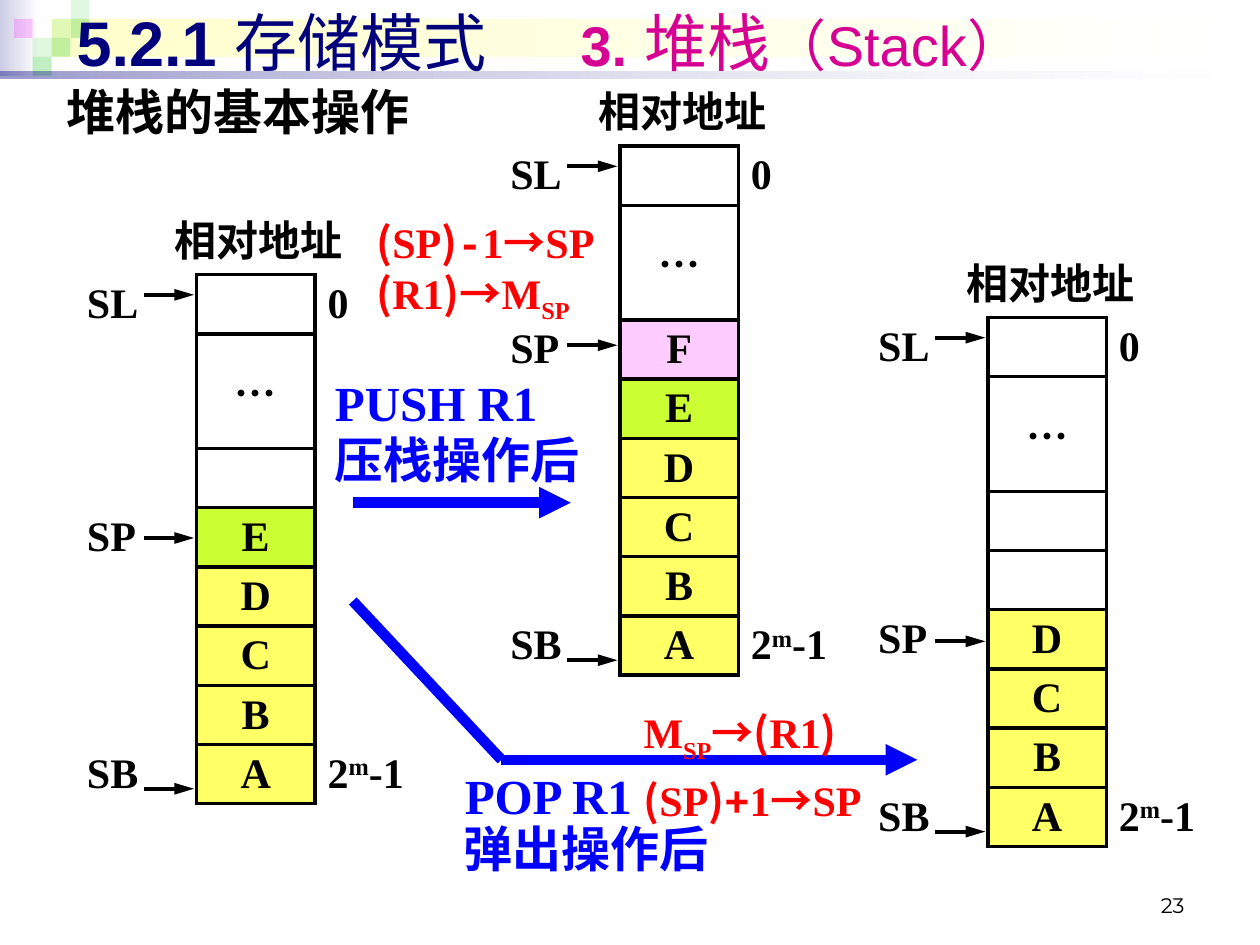
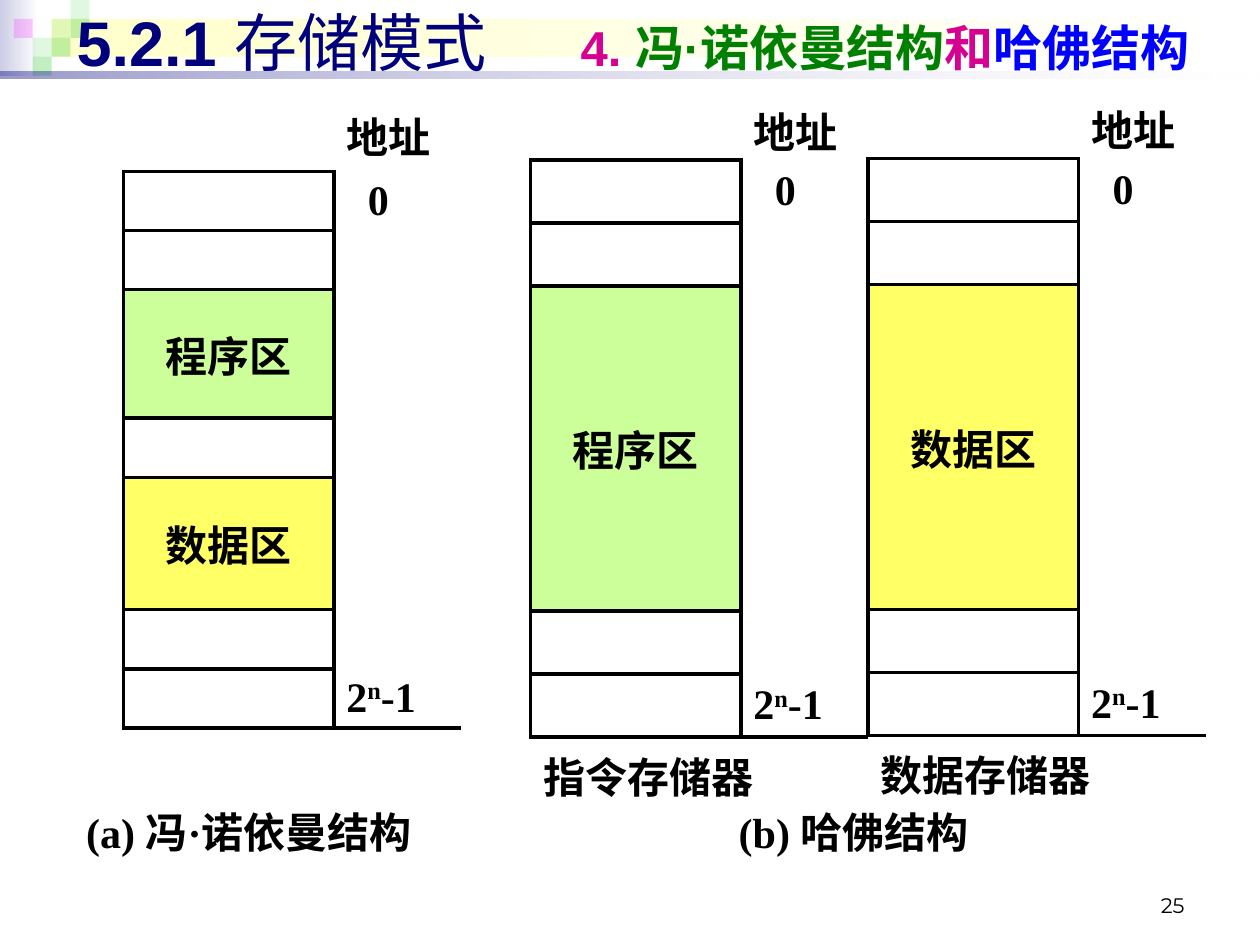
import pptx
import pptx.util
import pptx.dml.color
import pptx.enum.shapes
import pptx.enum.text
import pptx.oxml.ns
import lxml.etree

# ---- Content ----
HUE = {
    "ink": "000000", "navy": "00007D", "pink": "D60093", "green": "008000",
    "blue": "0000FF", "red": "FF0000", "white": "FFFFFF", "haze": "CDCDE6",
    "cream": "FFFFCC", "leaf": "33CC33", "plum": "FF00FF",
    "gold": "FFFF66", "lime": "CCFF33", "rose": "FFCCFF", "mint": "CCFF99",
}
SERIF, SANS, HAN, MONO = "Times New Roman", "Arial", "Noto Sans CJK SC", "Courier New"

HEAD = [("5.2.1 ", {"bold": True}), "存储模式\t"]
TITLES = [
    HEAD + [("3.", {"size": 32, "color": "pink", "bold": True}),
            (" 堆栈", {"color": "pink"}),
            ("（Stack）", {"size": 32, "color": "pink"})],
    HEAD + [(word, {"size": 28, "color": hue, "bold": True}) for word, hue in
            [("4. ", "pink"), ("冯·诺依曼结构", "green"),
             ("和", "pink"), ("哈佛结构", "blue")]],
]
PAGES = ["23", "25"]

# Left, top, height of the SP arrow, and the cells from low to high address
STACKS = [
    (0.59, 1.60, 4.27, ["", "…", "", "E", "D", "C", "B", "A"]),
    (3.95, 0.58, 2.74, ["", "…", "F", "E", "D", "C", "B", "A"]),
    (6.87, 1.94, 5.09, ["", "…", "", "", "D", "C", "B", "A"]),
]
TINTS = {"A": "gold", "B": "gold", "C": "gold", "D": "gold", "E": "lime",
         "F": "rose", "程序区": "mint", "数据区": "gold"}

# Left, top, row heights, areas by row, merged rows, foot
SPLIT = [0.5] * 3 + [0.86] * 3 + [0.5] * 2 + [0.6]
STORES = [
    (0.98, 0.78, [0.58, 0.47, 0.47, 1.02, 0.47, 1.05, 0.47, 0.47, 0.41],
     {3: "程序区", 5: "数据区"}, None, ""),
    (4.21, 0.77, SPLIT, {3: "程序区"}, (3, 5), "指令存储器"),
    (6.89, 0.76, SPLIT, {3: "数据区"}, (3, 5), "数据存储器"),
]
CAPTIONS = [(0.28, "(a) 冯·诺依曼结构"), (5.08, "(b) 哈佛结构")]

OPS = [(2.56, 2.91, "PUSH R1"), (2.56, 3.36, "压栈操作后"),
       (3.59, 6.03, "POP R1"), (3.58, 6.45, "弹出操作后")]
FLOWS = [(2.8, 3.99, 4.53, 3.99, True), (2.8, 4.77, 3.98, 6.03, False),
         (3.98, 6.03, 7.28, 6.03, True)]


def han(text):
    return text, {"font": HAN}


def mono(text):
    return text, {"font": MONO}


SUB = ("SP", {"base": -25})
# Left, top, width, height, line spacing, lines
NOTES = [
    (2.89, 1.67, 2.03, 0.91, None,
     [[han("("), "SP", han(")"), mono("-"), "1", han("→"), "SP"],
      [han("("), "R1", han(")→"), "M", SUB]]),
    (5.01, 5.47, 2.04, 1.04, 1.2,
     [["M", SUB, han("→("), "R1", han(")")],
      [han("("), "SP", han(")"), mono("+"), "1", han("→"), "SP"]]),
]

# Header blocks: column and row of small squares, colour, opacity
SIDE = 0.15
TILES = [(2, 1, "leaf", 15), (3, 0, "leaf", 15), (3, 1, "leaf", 30),
         (1, 2, "leaf", 15), (0, 1, "plum", 20), (2, 2, "leaf", 30),
         (1, 3, "leaf", 30)]
BANDS = [(0, 0, 0.31, 0.6, ["haze", "white"], [100, 100]),
         (0.41, 0.15, 9.55, 0.3, ["cream", "white"], [100, 100])]
RULE = (0, 0.57, 10, 0.05, ["navy", "white"], [40, 10])

# ---- Helpers ----
inch = pptx.util.Inches
qn = pptx.oxml.ns.qn
MID = pptx.enum.text.MSO_ANCHOR.MIDDLE
ALIGN = {"l": pptx.enum.text.PP_ALIGN.LEFT, "c": pptx.enum.text.PP_ALIGN.CENTER,
         "r": pptx.enum.text.PP_ALIGN.RIGHT}


def rgb(name):
    return pptx.dml.color.RGBColor.from_string(HUE[name])


def node(parent, tag, **attrs):
    return lxml.etree.SubElement(parent, qn(tag), attrs)


def style(font, name=None, size=None, color=None, bold=None):
    if name:
        font.name = name
    if size:
        font.size = pptx.util.Pt(size)
    if color:
        font.color.rgb = rgb(color)
    if bold is not None:
        font.bold = bold


def write(frame, lines, size=24, color="ink", name=SERIF, bold=True,
          align="l", pitch=None, tab=None):
    for i, runs in enumerate(lines):
        para = frame.add_paragraph() if i else frame.paragraphs[0]
        para.alignment = ALIGN[align]
        if pitch:
            para.line_spacing = pitch
        if tab:
            stops = node(para._p.get_or_add_pPr(), "a:tabLst")
            node(stops, "a:tab", pos=str(inch(tab)), algn="l")
        style(para.font, name, size, color, bold)
        node(para.font._rPr, "a:ea", typeface=HAN)
        for item in runs:
            text, opts = (item, {}) if isinstance(item, str) else item
            run = para.add_run()
            run.text = text
            style(run.font, opts.get("font"), opts.get("size"),
                  opts.get("color"), opts.get("bold"))
            if "base" in opts:
                run._r.get_or_add_rPr().set("baseline", str(opts["base"] * 1000))


def label(slide, x, y, w, h, lines, anchor=None, wrap=True, **look):
    frame = slide.shapes.add_textbox(inch(x), inch(y), inch(w), inch(h)).text_frame
    frame.word_wrap = wrap
    if anchor:
        frame.vertical_anchor = anchor
    write(frame, lines, **look)


def block(slide, x, y, w, h, hues, alphas):
    shape = slide.shapes.add_shape(pptx.enum.shapes.MSO_SHAPE.RECTANGLE,
                                   inch(x), inch(y), inch(w), inch(h))
    shape.shadow.inherit = False
    shape.line.fill.background()
    if len(hues) == 1:
        shape.fill.solid()
        shape.fill.fore_color.rgb = rgb(hues[0])
    else:
        shape.fill.gradient()
        shape.fill.gradient_angle = 0
        for stop, hue in zip(shape.fill.gradient_stops, hues):
            stop.color.rgb = rgb(hue)
    for clr, alpha in zip(shape._element.iter(qn("a:srgbClr")), alphas):
        if alpha < 100:
            node(clr, "a:alpha", val=str(alpha * 1000))


def line(slide, x1, y1, x2, y2, hue="ink", width=2.25, arrow=True, reach="lg"):
    link = slide.shapes.add_connector(pptx.enum.shapes.MSO_CONNECTOR.STRAIGHT,
                                      inch(x1), inch(y1), inch(x2), inch(y2))
    link.line.color.rgb = rgb(hue)
    link.line.width = pptx.util.Pt(width)
    if arrow:
        node(link.line._get_or_add_ln(), "a:tailEnd", type="triangle", len=reach)
    node(link._element.spPr, "a:effectLst")


def edge(cell, sides):
    props = cell._tc.get_or_add_tcPr()
    for side in sides:
        ln = node(props, "a:ln" + side, w=str(pptx.util.Pt(2.25)))
        node(node(ln, "a:solidFill"), "a:srgbClr", val=HUE["ink"])


def grid(slide, x, y, cols, rows, texts, box, merges=(), foot=False):
    """Draw a table whose column `box` is ruled; texts maps (row, col) to runs."""
    table = slide.shapes.add_table(len(rows), len(cols), inch(x), inch(y),
                                   inch(sum(cols)), inch(sum(rows))).table
    table.first_row = table.horz_banding = False
    table._tbl.tblPr.find(qn("a:tableStyleId")).text = \
        "{2D5ABB26-0587-4C30-8999-92F81FD0307C}"
    for part, size in zip(list(table.columns), cols):
        part.width = inch(size)
    for part, size in zip(list(table.rows), rows):
        part.height = inch(size)
    for first, last in merges:
        table.cell(*first).merge(table.cell(*last))
    end = len(rows) - 1 if foot else len(rows)
    for r in range(len(rows)):
        for c in range(len(cols)):
            cell = table.cell(r, c)
            cell.margin_top = cell.margin_bottom = inch(0.02)
            cell.vertical_anchor = MID
            if r == end:
                edge(cell, "T")
            elif r and c == box:
                edge(cell, "LR" if cell.is_spanned else "LRTB")
            elif r and c == box + 1:
                edge(cell, "L")
            elif r and c == box - 1:
                edge(cell, "R")
            runs = texts.get((r, c))
            tint = TINTS.get(runs[0]) if runs and c == box else None
            if tint:
                cell.fill.solid()
                cell.fill.fore_color.rgb = rgb(tint)
            else:
                cell.fill.background()
            if runs:
                mid = c == box and r < end or (r == 0 and box == 1)
                name = HAN if runs == ["…"] else SERIF
                write(cell.text_frame, [runs], name=name, align="c" if mid else "l")
    return table


def power(sign):
    return ["2", (sign, {"base": 30}), "-1"]


def start(deck, title, page):
    slide = deck.slides.add_slide(deck.slide_layouts[6])
    for band in BANDS:
        block(slide, *band)
    for col, row, hue, alpha in TILES:
        block(slide, 0.11 + col * SIDE, row * SIDE, SIDE, SIDE, [hue], [alpha])
    block(slide, *RULE)
    label(slide, 0.51, -0.03, 9.37, 0.71, [title], anchor=MID, size=36,
          color="navy", name=SANS, bold=False, tab=4)
    label(slide, 7.17, 6.83, 2.33, 0.5, [[page]], size=12, name="Montserrat",
          bold=False, align="r", anchor=pptx.enum.text.MSO_ANCHOR.BOTTOM)
    return slide


def stack(slide, x, y, point, cells):
    rows = [0.58, 0.47, 0.91] + [0.47] * 6
    top = 1 + next(i for i, name in enumerate(cells) if name.isalpha())
    texts = {(i, 1): [name] for i, name in enumerate(cells, 1) if name}
    texts.update({(0, 0): ["相对地址"], (1, 0): ["SL"], (top, 0): ["SP"],
                  (8, 0): ["SB"], (1, 2): ["0"], (8, 2): power("m")})
    grid(slide, x, y, [0.97, 0.94, 1.02], rows, texts, 1, [((0, 0), (0, 2))])
    for level in (y + 0.74, point, y + 4.66):
        line(slide, x + 0.55, level, x + 0.95, level)


def store(slide, x, y, rows, areas, span, foot):
    texts = {(r, 0): [name] for r, name in areas.items()}
    texts.update({(0, 1): ["地址"], (1, 1): ["0"], (7, 1): power("n")})
    if foot:
        texts[8, 0] = [foot]
    merges = [((8, 0), (8, 1))]
    if span:
        merges.append(((span[0], 0), (span[1], 0)))
    table = grid(slide, x, y, [1.67, 1.01], rows, texts, 0, merges, foot=True)
    table.cell(1, 1).margin_left = inch(0.27)


def main():
    deck = pptx.Presentation()
    deck.slide_width, deck.slide_height = inch(10), inch(7.5)
    first, second = [start(deck, *pair) for pair in zip(TITLES, PAGES)]

    # Stack operations
    label(first, 0.43, 0.6, 9.38, 0.63, [["堆栈的基本操作"]], size=28)
    for item in STACKS:
        stack(first, *item)
    for *ends, arrow in FLOWS:
        line(first, *ends, hue="blue", width=6, arrow=arrow, reach="med")
    for x, y, text in OPS:
        label(first, x, y, 2.68, 0.63, [[text]], size=28, color="blue")
    for x, y, w, h, pitch, lines in NOTES:
        label(first, x, y, w, h, lines, wrap=False, color="red", pitch=pitch)

    # Memory layouts
    for item in STORES:
        store(second, *item)
    for x, text in CAPTIONS:
        label(second, x, 6.35, 3.39, 0.5, [[text]], align="c")
    deck.save("out.pptx")


if __name__ == "__main__":
    main()
